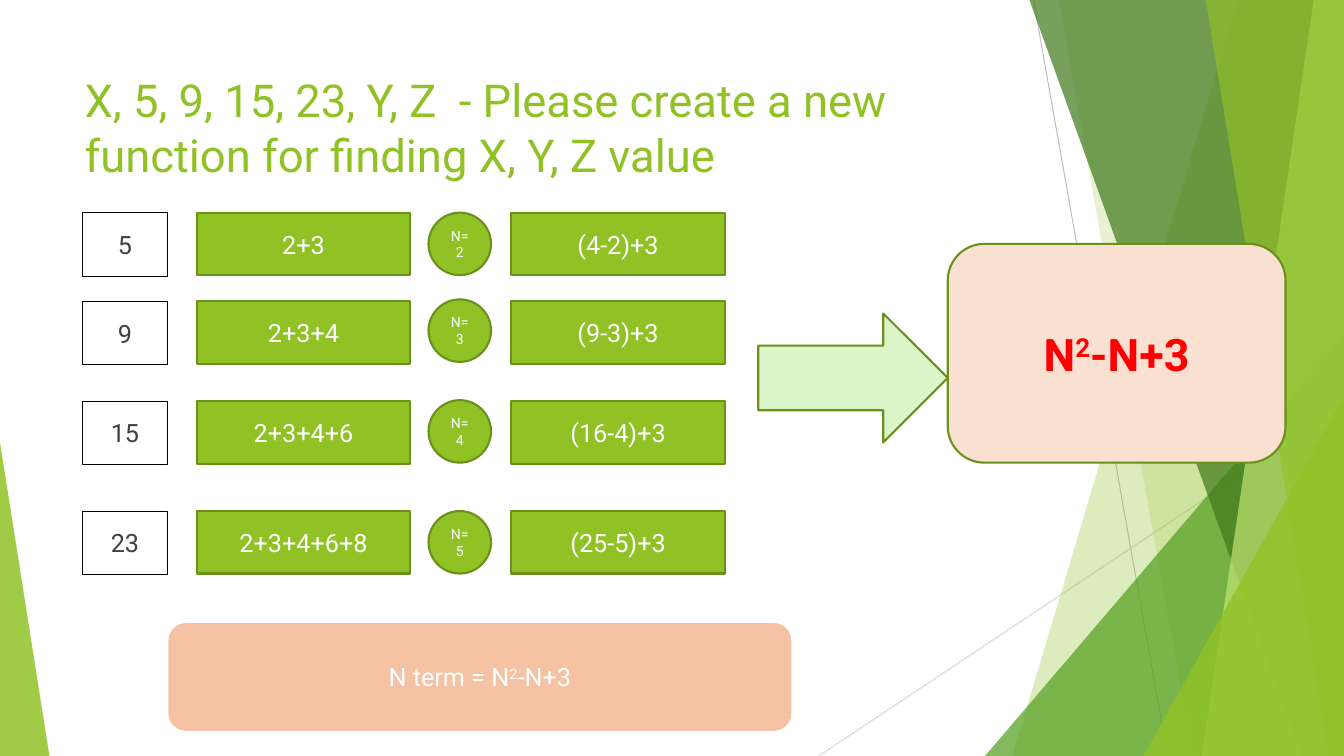
"""Build the number-sequence slide: four worked terms leading to the general formula."""
from dataclasses import dataclass

from lxml import etree
from pptx import Presentation
from pptx.dml.color import RGBColor
from pptx.enum.shapes import MSO_CONNECTOR, MSO_SHAPE
from pptx.enum.text import MSO_ANCHOR, PP_ALIGN
from pptx.oxml.ns import qn
from pptx.util import Emu, Inches, Pt

RECT, OVAL, ROUNDED = MSO_SHAPE.RECTANGLE, MSO_SHAPE.OVAL, MSO_SHAPE.ROUNDED_RECTANGLE
ARROW, TRIANGLE = MSO_SHAPE.RIGHT_ARROW, MSO_SHAPE.ISOSCELES_TRIANGLE
STRAIGHT = MSO_CONNECTOR.STRAIGHT
CENTER, LEFT = PP_ALIGN.CENTER, PP_ALIGN.LEFT
MIDDLE, TOP = MSO_ANCHOR.MIDDLE, MSO_ANCHOR.TOP

GREEN = RGBColor(0x90, 0xC2, 0x26)
EDGE = RGBColor(0x6B, 0x90, 0x1C)
LEAF = RGBColor(0x54, 0xA0, 0x21)
FOREST = RGBColor(0x3F, 0x78, 0x19)
LIME = RGBColor(0xC0, 0xE4, 0x74)
MINT = RGBColor(0xDB, 0xF4, 0xCA)
BLUSH = RGBColor(0xFA, 0xE0, 0xD1)
PEACH = RGBColor(0xF5, 0xC2, 0xA3)
RED = RGBColor(0xFF, 0x00, 0x00)
WHITE = RGBColor(0xFF, 0xFF, 0xFF)
BLACK = RGBColor(0x00, 0x00, 0x00)
CHARCOAL = RGBColor(0x40, 0x40, 0x40)
SILVER = RGBColor(0xBF, 0xBF, 0xBF)
PALE = RGBColor(0xD9, 0xD9, 0xD9)

FONT = "Roboto"
CELL = Inches(0.1)
COLS, ROWS = 133.3, 75


@dataclass(frozen=True)
class Box:
    """A place on the grid, in columns and rows."""
    col: float
    row: float
    cols: float
    rows: float


@dataclass(frozen=True)
class Ray:
    """A thin line across the background."""
    start: tuple[float, float]
    end: tuple[float, float]
    color: RGBColor


@dataclass(frozen=True)
class Facet:
    """A pane from a slanted left edge to the right edge of the slide."""
    top: float
    bottom: float
    color: RGBColor
    opacity: int


@dataclass(frozen=True)
class Wedge:
    """A triangle standing on the bottom of the slide."""
    col: float
    cols: float
    rows: float
    apex: float
    color: RGBColor
    opacity: int


@dataclass(frozen=True)
class Term:
    """One term of the sequence, its sum, position and formula."""
    row: float
    circle_row: float
    value: str
    total: str
    n: int
    formula: str


RAYS = [Ray((102.5, 0), (115.8, ROWS), SILVER), Ray((COLS, 40.3), (81.2, ROWS), PALE)]
PANES = [
    Facet(122.8, 100.4, GREEN, 30),
    Facet(105, 118.3, GREEN, 20),
    Wedge(97.7, 35.6, 41.7, 1, LEAF, 72),
    Facet(102.1, 129.1, FOREST, 70),
    Facet(130.3, 119.2, LIME, 70),
    Facet(119.6, 131.8, GREEN, 65),
    Wedge(113.4, 19.9, 35.7, 1, GREEN, 80),
    Wedge(0, 4.9, 31.1, 0, GREEN, 85),
]
TERMS = [
    Term(21.1, 21.1, "5", "2+3", 2, "(4-2)+3"),
    Term(29.9, 29.7, "9", "2+3+4", 3, "(9-3)+3"),
    Term(39.8, 39.7, "15", "2+3+4+6", 4, "(16-4)+3"),
    Term(50.7, 50.7, "23", "2+3+4+6+8", 5, "(25-5)+3"),
]


def cells(count: float) -> Emu:
    """Turn grid cells into a length."""
    return Emu(round(count * CELL))


def place(box: Box) -> list[Emu]:
    """Give left, top, width and height of a box."""
    return [cells(n) for n in (box.col, box.row, box.cols, box.rows)]


def write(s, *parts: str, size: float = 18, color: RGBColor = WHITE, bold: bool = False,
          align=CENTER, anchor=MIDDLE, before: float = 0) -> None:
    """Write one paragraph whose every second part is superscript."""
    tf = s.text_frame
    tf.word_wrap, tf.vertical_anchor = True, anchor
    p = tf.paragraphs[0]
    p.alignment, p.space_before = align, Pt(before)
    for i, part in enumerate(parts):
        r = p.add_run()
        r.text = part
        r.font.name, r.font.size, r.font.bold = FONT, Pt(size), bold
        r.font.color.rgb = color
        if i % 2:
            r._r.get_or_add_rPr().set("baseline", "30000")


def add_block(shapes, kind, box: Box, fill: RGBColor | None = GREEN,
              line: RGBColor = EDGE, weight: float = 1.5):
    """Add an outlined preset shape."""
    s = shapes.add_shape(kind, *place(box))
    s.shadow.inherit = False
    if fill is None:
        s.fill.background()
    else:
        s.fill.solid()
        s.fill.fore_color.rgb = fill
    s.line.color.rgb, s.line.width = line, Pt(weight)
    return s


def add_ray(shapes, ray: Ray) -> None:
    """Add a background line."""
    s = shapes.add_connector(STRAIGHT, *[cells(n) for n in ray.start + ray.end])
    s.line.color.rgb, s.line.width = ray.color, Pt(0.75)
    etree.SubElement(s._element.spPr, qn("a:effectLst"))


def add_pane(shapes, pane: Facet | Wedge) -> None:
    """Add a translucent background pane."""
    if isinstance(pane, Wedge):
        s = shapes.add_shape(TRIANGLE, *place(Box(pane.col, ROWS - pane.rows, pane.cols, pane.rows)))
        s.adjustments[0] = pane.apex
    else:
        corners = [(pane.top, 0), (COLS, 0), (COLS, ROWS), (pane.bottom, ROWS)]
        points = [(cells(x), cells(y)) for x, y in corners]
        builder = shapes.build_freeform(*points[0])
        builder.add_line_segments(points[1:])
        s = builder.convert_to_shape()
    s.shadow.inherit = False
    s.line.fill.background()
    s.fill.solid()
    s.fill.fore_color.rgb = pane.color
    tint = s._element.spPr.find(f"{qn('a:solidFill')}/{qn('a:srgbClr')}")
    etree.SubElement(tint, qn("a:alpha")).set("val", str(pane.opacity * 1000))


def add_term(shapes, term: Term) -> None:
    """Add one row of the worked sequence."""
    value = add_block(shapes, RECT, Box(8.2, term.row, 8.4, 6.3), None, BLACK, 0.75)
    write(value, term.value, color=CHARCOAL, before=10)
    write(add_block(shapes, RECT, Box(19.5, term.row, 21.2, 6.2)), term.total)
    write(add_block(shapes, OVAL, Box(42.5, term.circle_row, 6.2, 6.2)), f"N={term.n}", size=10)
    write(add_block(shapes, RECT, Box(50.7, term.row, 21.2, 6.2)), term.formula)


def main() -> None:
    """Build and save the slide."""
    prs = Presentation()
    prs.slide_width, prs.slide_height = cells(COLS), cells(ROWS)
    shapes = prs.slides.add_slide(prs.slide_layouts[6]).shapes
    for ray in RAYS:
        add_ray(shapes, ray)
    for pane in PANES:
        add_pane(shapes, pane)
    title = shapes.add_textbox(*place(Box(7.4, 6.7, 94, 14.4)))
    write(title, "X, 5, 9, 15, 23, Y, Z  - Please create a new function for finding X, Y, Z value",
          size=32.4, color=GREEN, align=LEFT, anchor=TOP)
    for term in TERMS:
        add_term(shapes, term)
    add_block(shapes, ARROW, Box(75.2, 31.1, 18.8, 12.8), MINT)
    result = add_block(shapes, ROUNDED, Box(94, 24.2, 33.5, 21.7), BLUSH)
    write(result, "N", "2", "-N+3", size=32, color=RED, bold=True)
    summary = add_block(shapes, ROUNDED, Box(16.6, 61.7, 62, 10.9), PEACH, WHITE)
    write(summary, "N term = N", "2", "-N+3")
    prs.save("out.pptx")


if __name__ == "__main__":
    main()
